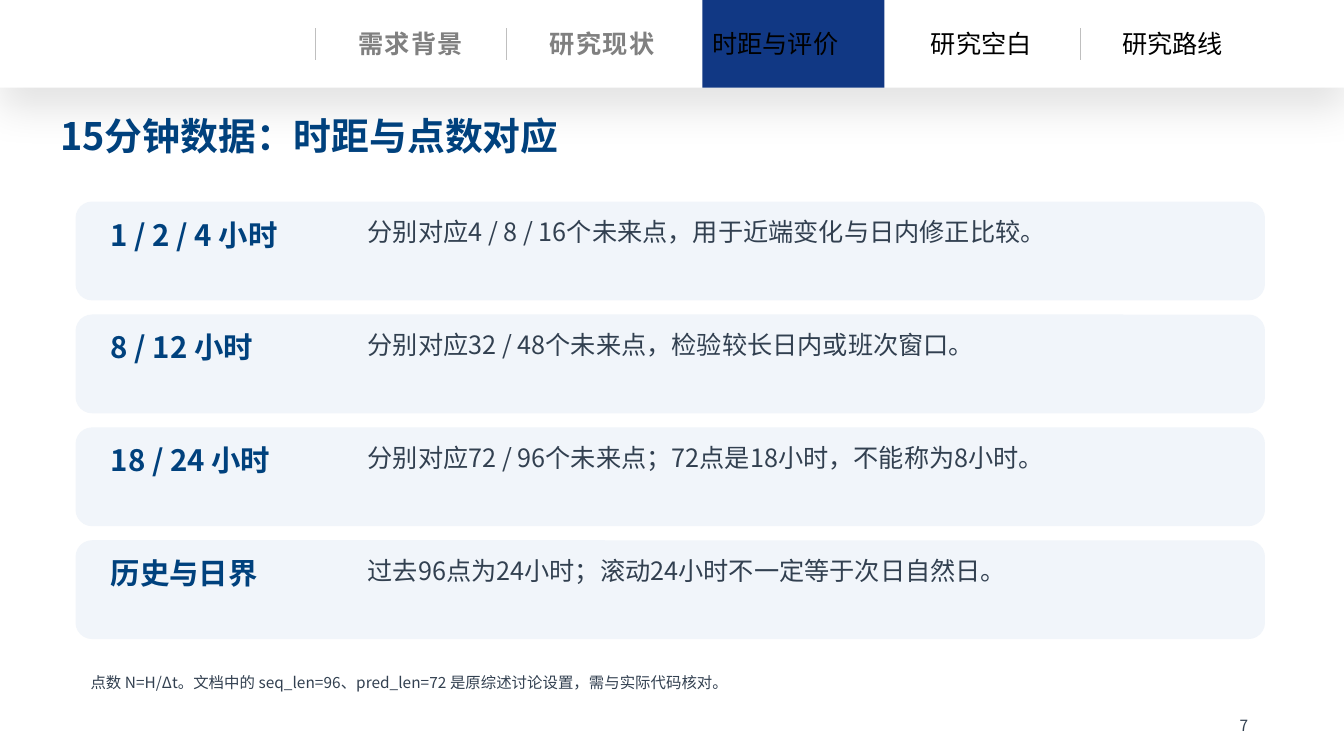
"""Build the slide on forecast horizons and point counts for 15-minute data."""
from lxml import etree
from pptx import Presentation
from pptx.dml.color import RGBColor
from pptx.enum.shapes import MSO_CONNECTOR, MSO_SHAPE
from pptx.enum.text import MSO_AUTO_SIZE, PP_ALIGN
from pptx.oxml import parse_xml
from pptx.oxml.ns import nsdecls, qn
from pptx.util import Pt

RECT, ROUND = MSO_SHAPE.RECTANGLE, MSO_SHAPE.ROUNDED_RECTANGLE
LINE = MSO_CONNECTOR.STRAIGHT
GROW = MSO_AUTO_SIZE.SHAPE_TO_FIT_TEXT
LEFT, CENTER = PP_ALIGN.LEFT, PP_ALIGN.CENTER

WHITE = RGBColor(0xFF, 0xFF, 0xFF)
BLACK = RGBColor(0, 0, 0)
GRAY = RGBColor(0x80, 0x80, 0x80)
RULE = RGBColor(0xBF, 0xBF, 0xBF)
BLUE = RGBColor(0x11, 0x38, 0x84)
NAVY = RGBColor(0x00, 0x41, 0x7D)
SLATE = RGBColor(0x32, 0x40, 0x50)
PALE = RGBColor(0xF1, 0xF5, 0xFA)
SANS, HEAD = "Noto Sans CJK SC", "Arial"

TABS = ["需求背景", "研究现状", "时距与评价", "研究空白", "研究路线"]
ACTIVE = 2
TITLE = "15分钟数据：时距与点数对应"
CARDS = [
    ("1 / 2 / 4 小时", "分别对应4 / 8 / 16个未来点，用于近端变化与日内修正比较。"),
    ("8 / 12 小时", "分别对应32 / 48个未来点，检验较长日内或班次窗口。"),
    ("18 / 24 小时", "分别对应72 / 96个未来点；72点是18小时，不能称为8小时。"),
    ("历史与日界", "过去96点为24小时；滚动24小时不一定等于次日自然日。"),
]
NOTE = "点数 N=H/Δt。文档中的 seq_len=96、pred_len=72 是原综述讨论设置，需与实际代码核对。"
PAGE = "7"

WIDE, HIGH = 960, 540
BAR = 62.6
TAB_X, TAB_STEP = 247.7, 136.7
CARD_Y, CARD_STEP = 144, 80.64

deck = Presentation()
deck.slide_width, deck.slide_height = Pt(WIDE), Pt(HIGH)
slide = deck.slides.add_slide(deck.slide_layouts[6])
slide.background.fill.solid()
slide.background.fill.fore_color.rgb = WHITE


def add_box(kind, x, y, w, h, fill):
    """Draw a filled shape without outline or shadow."""
    box = slide.shapes.add_shape(kind, Pt(x), Pt(y), Pt(w), Pt(h))
    box.shadow.inherit = False
    box.fill.solid()
    box.fill.fore_color.rgb = fill
    box.line.fill.background()
    return box


def add_text(text, x, y, w, h, size=18, color=SLATE, bold=False, font=SANS,
             align=LEFT, wrap=True, after=10, track=0):
    """Place one line of formatted text."""
    box = slide.shapes.add_textbox(Pt(x), Pt(y), Pt(w), Pt(h))
    frame = box.text_frame
    frame.word_wrap, frame.auto_size = wrap, GROW
    para = frame.paragraphs[0]
    para.alignment, para.space_after = align, Pt(after)
    run = para.add_run()
    run.text = text
    run.font.size, run.font.bold, run.font.name = Pt(size), bold, font
    run.font.color.rgb = color
    props = run.font._element
    if track:
        props.set("spc", str(track * 100))
    etree.SubElement(props, qn("a:ea")).set("typeface", SANS)


def add_rule(x):
    """Draw a thin divider between tabs."""
    rule = slide.shapes.add_connector(LINE, Pt(x), Pt(20.2), Pt(x), Pt(42.7))
    rule.line.color.rgb, rule.line.width = RULE, Pt(0.5)
    etree.SubElement(rule._element.spPr, qn("a:effectLst"))


def add_nav():
    """Draw the top bar with its tabs."""
    bar = add_box(RECT, 0, 0, WIDE, BAR, WHITE)
    props = bar._element.spPr
    props.remove(props.find(qn("a:effectLst")))
    props.append(parse_xml(
        f'<a:effectLst {nsdecls("a")}><a:outerShdw blurRad="{Pt(28)}" '
        f'dist="{Pt(15)}" dir="5400000" algn="t" rotWithShape="0">'
        '<a:srgbClr val="000000"><a:alpha val="11000"/></a:srgbClr>'
        '</a:outerShdw></a:effectLst>'))
    for i, tab in enumerate(TABS):
        x, w = TAB_X + i * TAB_STEP, 91.4
        done = i < ACTIVE
        if i == ACTIVE:
            x, w = 501.8, 130
            add_box(RECT, x, 0, w, BAR, BLUE)
        elif i != ACTIVE + 1:
            add_rule(x - 22.5)
        add_text(tab, x, 16.6, w, 29, color=GRAY if done else BLACK, bold=done,
                 font=HEAD, align=CENTER if done else LEFT, wrap=False,
                 after=0, track=int(done))


add_nav()
add_box(RECT, 21.6, 133.2, 914.4, 373, WHITE)
add_text(TITLE, 36, 77, 885.6, 41.8, size=27, color=NAVY, bold=True)
for i, (head, body) in enumerate(CARDS):
    y = CARD_Y + i * CARD_STEP
    add_box(ROUND, 54, y, 849.6, 70.56, PALE)
    add_text(head, 72, y + 7.2, 172.8, 54, size=21, color=NAVY, bold=True)
    add_text(body, 255.6, y + 7.2, 622.8, 57.6)
add_text(NOTE, 57.6, 477.4, 842.4, 27.4, size=11)
add_text(PAGE, 878.4, 508.3, 36, 18, size=11)
deck.save("out.pptx")
